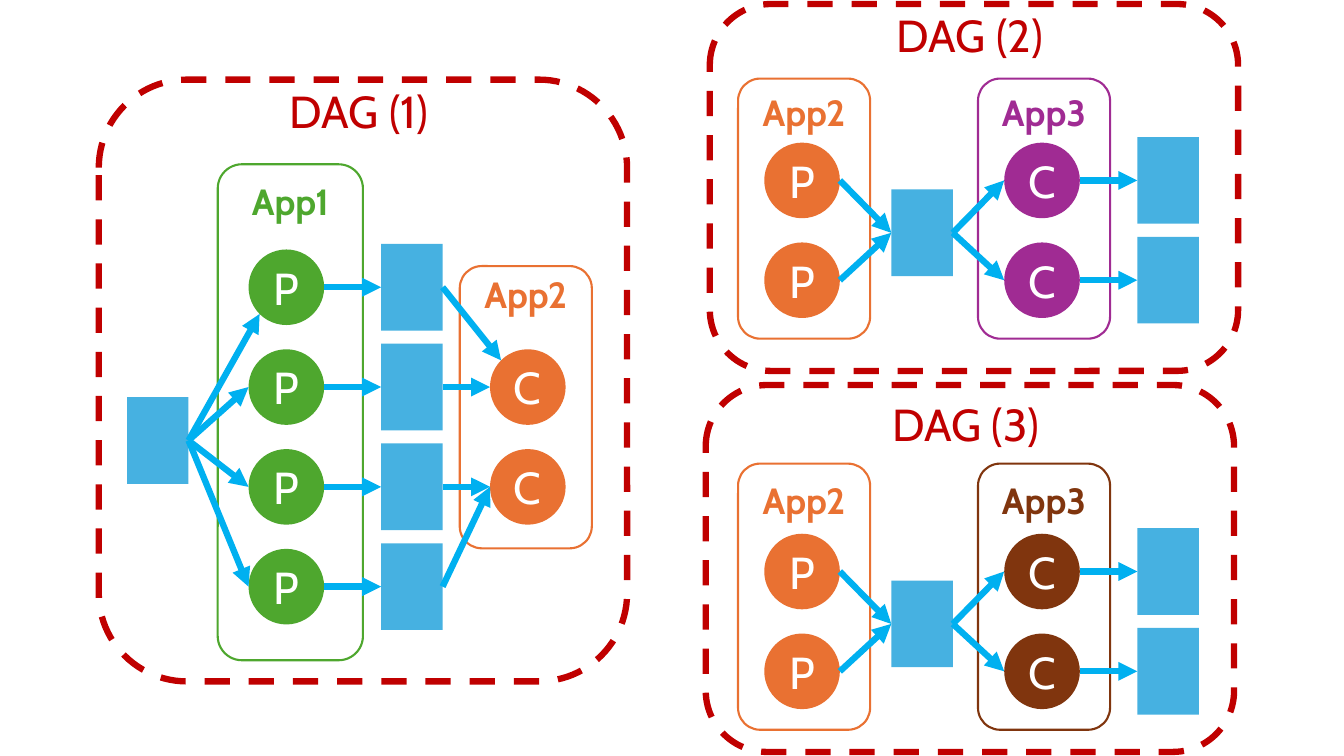
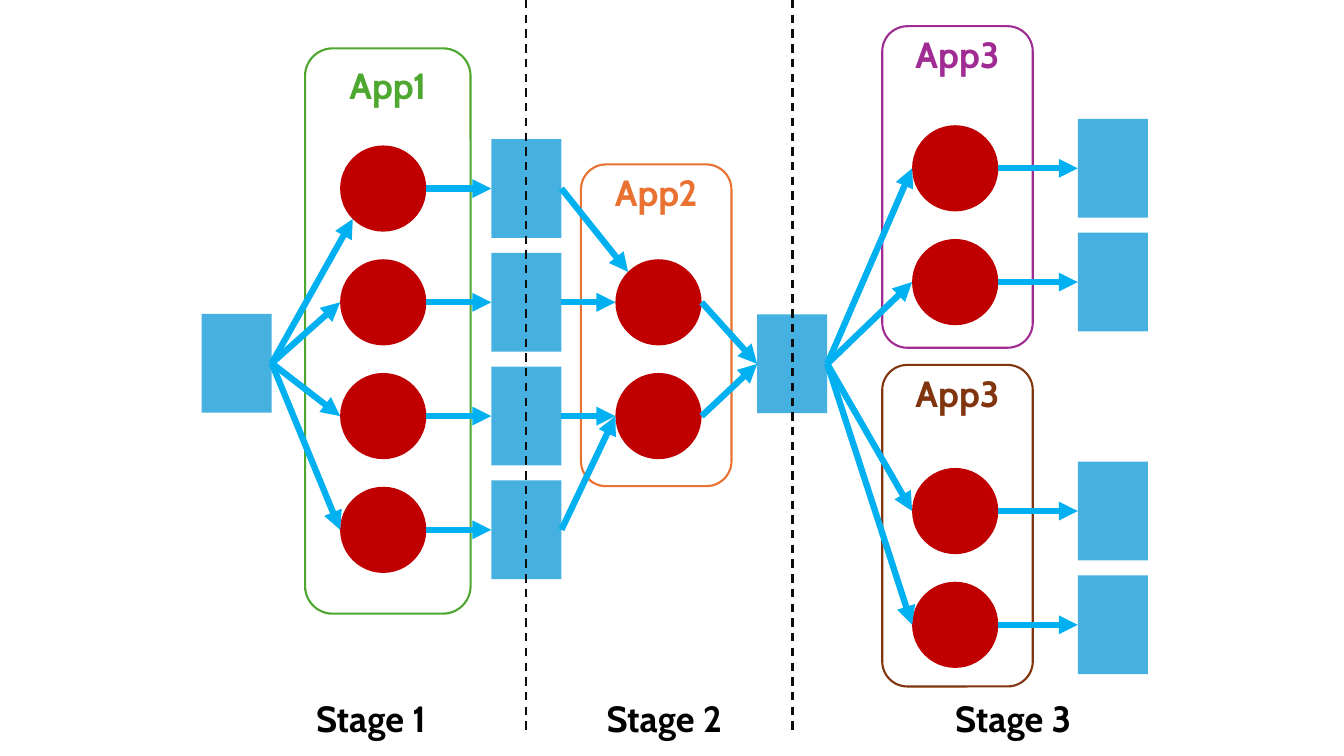
import math

import lxml.etree
import pptx
import pptx.dml.color
import pptx.enum.dml
import pptx.enum.shapes
import pptx.enum.text
import pptx.oxml.ns
import pptx.util

Inches = pptx.util.Inches
Shape = pptx.enum.shapes.MSO_SHAPE

FONT = "Cabin"
GREEN, ORANGE, PURPLE, BROWN = "4EA72E", "E97132", "A02B93", "80350E"
RED, STORE_BLUE, ARROW_BLUE = "C00000", "46B1E1", "00B0F0"
WHITE, BLACK, DIVIDER = "FFFFFF", "000000", "0D0D0D"

CIRCLE = 0.75
STORE_WIDTH, STORE_HEIGHT = 0.61, 0.86
LANE_PITCH = 0.99
FRAME_WIDTH = 1.31
STAGE_SCALE = 1.14
LEFT_SIDE, RIGHT_SIDE = 1, 3


def colour(value):
    """Turn a hex string into a colour."""
    return pptx.dml.color.RGBColor.from_string(value)


def write(box, text, size=26, ink=BLACK, bold=False, anchor="TOP", wrap=True):
    """Put one centred paragraph into a box."""
    frame = box.text_frame
    frame.word_wrap = wrap
    frame.vertical_anchor = getattr(pptx.enum.text.MSO_ANCHOR, anchor)
    para = frame.paragraphs[0]
    para.alignment = pptx.enum.text.PP_ALIGN.CENTER
    span = para.add_run()
    span.text = text
    span.font.name = FONT
    span.font.size = pptx.util.Pt(size)
    span.font.bold = bold
    span.font.color.rgb = colour(ink)


def add_label(page, text, centre, top, width, height, **style):
    """Add a text box centred on a given x position."""
    box = page.shapes.add_textbox(
        Inches(centre - width / 2), Inches(top), Inches(width), Inches(height))
    write(box, text, **style)


def set_line(line, ink, weight, dashed=False):
    """Set the colour, weight and dash of a line."""
    line.color.rgb = colour(ink)
    line.width = pptx.util.Pt(weight)
    if dashed:
        line.dash_style = pptx.enum.dml.MSO_LINE.DASH


def add_solid(page, kind, centre, middle, width, height, fill):
    """Add a filled shape without an outline around a centre point."""
    shape = page.shapes.add_shape(
        kind, Inches(centre - width / 2), Inches(middle - height / 2),
        Inches(width), Inches(height))
    shape.shadow.inherit = False
    shape.fill.solid()
    shape.fill.fore_color.rgb = colour(fill)
    shape.line.fill.background()
    return shape


def add_outline(page, left, top, width, height, ink, weight=1.5, dashed=False):
    """Add a rounded frame without a fill."""
    frame = page.shapes.add_shape(
        Shape.ROUNDED_RECTANGLE, Inches(left), Inches(top),
        Inches(width), Inches(height))
    frame.shadow.inherit = False
    frame.fill.background()
    set_line(frame.line, ink, weight, dashed)


def add_store(page, left, middle, scale=1):
    """Add a blue data store, given its left side and vertical middle."""
    width = STORE_WIDTH * scale
    return add_solid(page, Shape.RECTANGLE, left + width / 2, middle,
                     width, STORE_HEIGHT * scale, STORE_BLUE)


def add_straight(page, start, end, ink, weight, dashed=False):
    """Add a straight connector without a shadow."""
    connector = page.shapes.add_connector(
        pptx.enum.shapes.MSO_CONNECTOR.STRAIGHT, *start, *end)
    set_line(connector.line, ink, weight, dashed)
    lxml.etree.SubElement(connector._element.spPr,
                          pptx.oxml.ns.qn("a:effectLst"))
    return connector


def rim_point(shape, angle):
    """Return the point of a shape's inscribed ellipse at an angle."""
    turn = math.radians(angle)
    return (round(shape.left + shape.width / 2 * (1 + math.cos(turn))),
            round(shape.top + shape.height / 2 * (1 + math.sin(turn))))


def add_arrow(page, source, target, angle=180):
    """Point an arrow from a node's right side to the next node's rim."""
    connector = add_straight(page, rim_point(source, 0),
                             rim_point(target, angle), ARROW_BLUE, 4.5)
    lxml.etree.SubElement(connector.line._get_or_add_ln(),
                          pptx.oxml.ns.qn("a:tailEnd"), type="triangle")
    if source.auto_shape_type == Shape.RECTANGLE:
        connector.begin_connect(source, RIGHT_SIDE)
    if target.auto_shape_type == Shape.RECTANGLE:
        connector.end_connect(target, LEFT_SIDE)


def add_app(page, name, ink, left, top, height, lead, count=2, letter="",
            fill=None, scale=1, width=FRAME_WIDTH, shift=-0.02, drop=0.01):
    """Add a framed application and return its column of circles."""
    width *= scale
    centre = left + width / 2
    add_outline(page, left, top, width, height, ink)
    add_label(page, name, centre, top + drop, 1.75 * scale, 0.86,
              ink=ink, bold=True)
    circles = []
    for lane in range(count):
        circle = add_solid(page, Shape.OVAL, centre + shift * scale,
                           top + lead + lane * LANE_PITCH * scale,
                           CIRCLE * scale, CIRCLE * scale, fill or ink)
        if letter:
            write(circle, letter, size=32, ink=WHITE, anchor="MIDDLE",
                  wrap=False)
        circles.append(circle)
    return circles


def add_sink(page, source, ink, left, top, height, lead, reach, scale=1,
             **style):
    """Add App3 fed by one store, with a result store for each circle."""
    circles = add_app(page, "App3", ink, left, top, height, lead,
                      scale=scale, **style)
    for lane, circle in enumerate(circles):
        store = add_store(page, left + reach,
                          top + lead + lane * LANE_PITCH * scale, scale)
        add_arrow(page, source, circle)
        add_arrow(page, circle, store)


def add_fan(page, left, top, scale=1, letters=("", ""), fill=None):
    """Add one store feeding App1, whose four stores feed App2."""
    source = add_store(page, left, top + 2.74 * scale, scale)
    producers = add_app(
        page, "App1", GREEN, left + 0.9 * scale, top, 4.92 * scale,
        1.22 * scale, count=4, letter=letters[0], fill=fill, scale=scale,
        width=1.44, shift=-0.04, drop=0.1)
    consumers = add_app(
        page, "App2", ORANGE, left + 3.3 * scale, top + 1.01 * scale,
        2.8 * scale, 1.2 * scale, letter=letters[1], fill=fill, scale=scale,
        shift=0.02)
    for lane, producer in enumerate(producers):
        store = add_store(page, left + 2.52 * scale,
                          top + (1.22 + lane * LANE_PITCH) * scale, scale)
        add_arrow(page, source, producer, angle=180 if lane else 135)
        add_arrow(page, producer, store)
        add_arrow(page, store, consumers[lane // 2],
                  angle=180 if lane else 225)
    return consumers


def add_relay(page, left, top, ink, lead, drop):
    """Add App2 feeding App3 through one shared store."""
    height = lead + 1.57
    producers = add_app(page, "App2", ORANGE, left, top, height, lead,
                        letter="P", drop=drop)
    store = add_store(page, left + 1.52, top + lead + 0.52)
    for producer in producers:
        add_arrow(page, producer, store)
    add_sink(page, store, ink, left + 2.38, top, height, lead, 1.58,
             letter="C", drop=drop)


def add_dag_frame(page, name, left, top, height, drop):
    """Add the dashed frame and heading of one graph."""
    width = 5.24
    add_outline(page, left, top, width, height, RED, 4.5, dashed=True)
    add_label(page, name, left + width / 2 - 0.04, top + drop, 4.04, 0.64,
              size=32, ink=RED)


def build_graphs(page):
    """Build the slide with three separate graphs."""
    add_fan(page, 1.26, 1.63, letters=("P", "C"))
    add_relay(page, 7.32, 0.78, PURPLE, lead=1.01, drop=0.06)
    add_relay(page, 7.32, 4.6, BROWN, lead=1.07, drop=0.09)
    add_dag_frame(page, "DAG (1)", 0.98, 0.79, 5.97, -0.01)
    add_dag_frame(page, "DAG (2)", 7.04, 0.04, 3.64, -0.01)
    add_dag_frame(page, "DAG (3)", 7, 3.82, 3.64, 0.07)


def build_stages(page):
    """Build the slide with the graphs merged into three stages."""
    consumers = add_fan(page, 2, 0.48, STAGE_SCALE, fill=RED)
    store = add_store(page, 7.51, 3.61, STAGE_SCALE)
    for consumer in consumers:
        add_arrow(page, consumer, store)
    for ink, top, lead in ((PURPLE, 0.26, 1.41), (BROWN, 3.62, 1.45)):
        add_sink(page, store, ink, 8.75, top, 3.19, lead, 1.94,
                 scale=STAGE_SCALE, fill=RED)
    for divider in (5.22, 7.86):
        add_straight(page, (Inches(divider), 0),
                     (Inches(divider), Inches(7.3)), DIVIDER, 1.5, dashed=True)
    for number, centre in enumerate((3.68, 6.59, 10.05), start=1):
        add_label(page, f"Stage {number}", centre, 6.86, 2.67, 0.54, bold=True)


def main():
    """Build and save the deck."""
    deck = pptx.Presentation()
    deck.slide_width, deck.slide_height = Inches(13.33), Inches(7.5)
    for build in (build_graphs, build_stages):
        build(deck.slides.add_slide(deck.slide_layouts[6]))
    deck.save("out.pptx")


if __name__ == "__main__":
    main()
